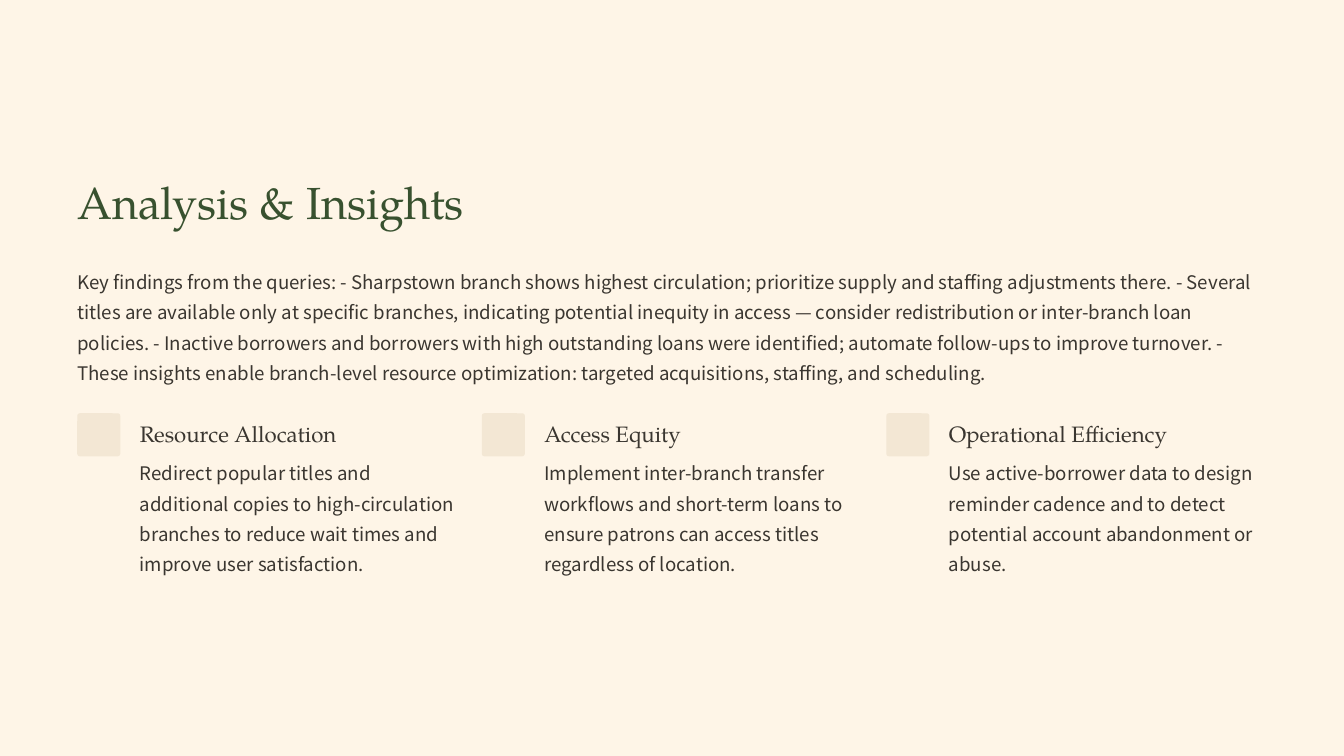
"""Build the Analysis & Insights slide with a summary and three recommendation columns."""
from dataclasses import dataclass

from pptx import Presentation
from pptx import util as u
from pptx.dml.color import RGBColor
from pptx.enum import shapes, text
from pptx.oxml.ns import qn

SERIF = "TeX Gyre Pagella"
SANS = "Noto Sans CJK SC"
CREAM = "FEF5E7"
SAND = "F3E7D4"
GREEN = "38512F"
INK = "3A3630"
MARGIN = 1.15
COLUMN_STEP = 6.02
TEXT_INDENT = 0.93
COLUMN_TOP = 6.15
TILE_SIZE = 0.64


@dataclass(frozen=True)
class Style:
    font: str
    size: float
    leading: float
    color: str


@dataclass(frozen=True)
class Insight:
    heading: str
    detail: str


TITLE = Style(SERIF, 48.1, 60.6, GREEN)
HEADING = Style(SERIF, 23.8, 30, INK)
BODY = Style(SANS, 20, 32.5, INK)

SUMMARY = (
    "Key findings from the queries: - Sharpstown branch shows highest circulation; "
    "prioritize supply and staffing adjustments there. - Several titles are available "
    "only at specific branches, indicating potential inequity in access — consider "
    "redistribution or inter-branch loan policies. - Inactive borrowers and borrowers "
    "with high outstanding loans were identified; automate follow-ups to improve "
    "turnover. - These insights enable branch-level resource optimization: targeted "
    "acquisitions, staffing, and scheduling."
)

INSIGHTS = (
    Insight(
        "Resource Allocation",
        "Redirect popular titles and additional copies to high-circulation branches "
        "to reduce wait times and improve user satisfaction.",
    ),
    Insight(
        "Access Equity",
        "Implement inter-branch transfer workflows and short-term loans to ensure "
        "patrons can access titles regardless of location.",
    ),
    Insight(
        "Operational Efficiency",
        "Use active-borrower data to design reminder cadence and to detect potential "
        "account abandonment or abuse.",
    ),
)


def paint(fill, color: str) -> None:
    fill.solid()
    fill.fore_color.rgb = RGBColor.from_string(color)


def write(box, content: str, style: Style) -> None:
    frame = box.text_frame
    frame.word_wrap = True
    frame.auto_size = text.MSO_AUTO_SIZE.NONE
    frame.vertical_anchor = text.MSO_ANCHOR.TOP
    frame.margin_left = frame.margin_top = frame.margin_right = frame.margin_bottom = 0
    frame.text = content
    para = frame.paragraphs[0]
    para.alignment = text.PP_ALIGN.LEFT
    para.line_spacing = u.Pt(style.leading)
    para.space_before = u.Pt(0)
    para.font.name = style.font
    para.font.size = u.Pt(style.size)
    paint(para.font.fill, style.color)


def place(box, left: float, top: float, width: float, height: float) -> None:
    box.left, box.top = u.Inches(left), u.Inches(top)
    box.width, box.height = u.Inches(width), u.Inches(height)


def remove_bullet(para) -> None:
    properties = para._p.get_or_add_pPr()
    properties.set("marL", "0")
    properties.set("indent", "0")
    properties.append(properties.makeelement(qn("a:buNone"), {}))


def add_text(page, left: float, top: float, width: float, height: float,
             content: str, style: Style) -> None:
    box = page.shapes.add_textbox(*map(u.Inches, (left, top, width, height)))
    write(box, content, style)


def add_insight(page, left: float, insight: Insight) -> None:
    tile = page.shapes.add_shape(
        shapes.MSO_SHAPE.ROUNDED_RECTANGLE,
        *map(u.Inches, (left, COLUMN_TOP, TILE_SIZE, TILE_SIZE)),
    )
    tile.adjustments[0] = 0.06
    tile.shadow.inherit = False
    paint(tile.fill, SAND)
    tile.line.fill.background()
    text_left = left + TEXT_INDENT
    add_text(page, text_left, COLUMN_TOP + 0.08, 3.51, 0.44, insight.heading, HEADING)
    add_text(page, text_left, COLUMN_TOP + 0.61, 4.73, 1.92, insight.detail, BODY)


def main() -> None:
    deck = Presentation()
    deck.slide_width, deck.slide_height = u.Inches(20), u.Inches(11.25)
    page = deck.slides.add_slide(deck.slide_layouts[1])
    paint(page.background.fill, CREAM)

    title, summary = page.placeholders
    place(title, MARGIN, 2.56, 6.74, 0.86)
    write(title, "Analysis & Insights", TITLE)
    place(summary, MARGIN, 3.91, 17.71, 1.92)
    write(summary, SUMMARY, BODY)
    remove_bullet(summary.text_frame.paragraphs[0])

    for column, insight in enumerate(INSIGHTS):
        add_insight(page, MARGIN + column * COLUMN_STEP, insight)

    deck.save("out.pptx")


if __name__ == "__main__":
    main()
